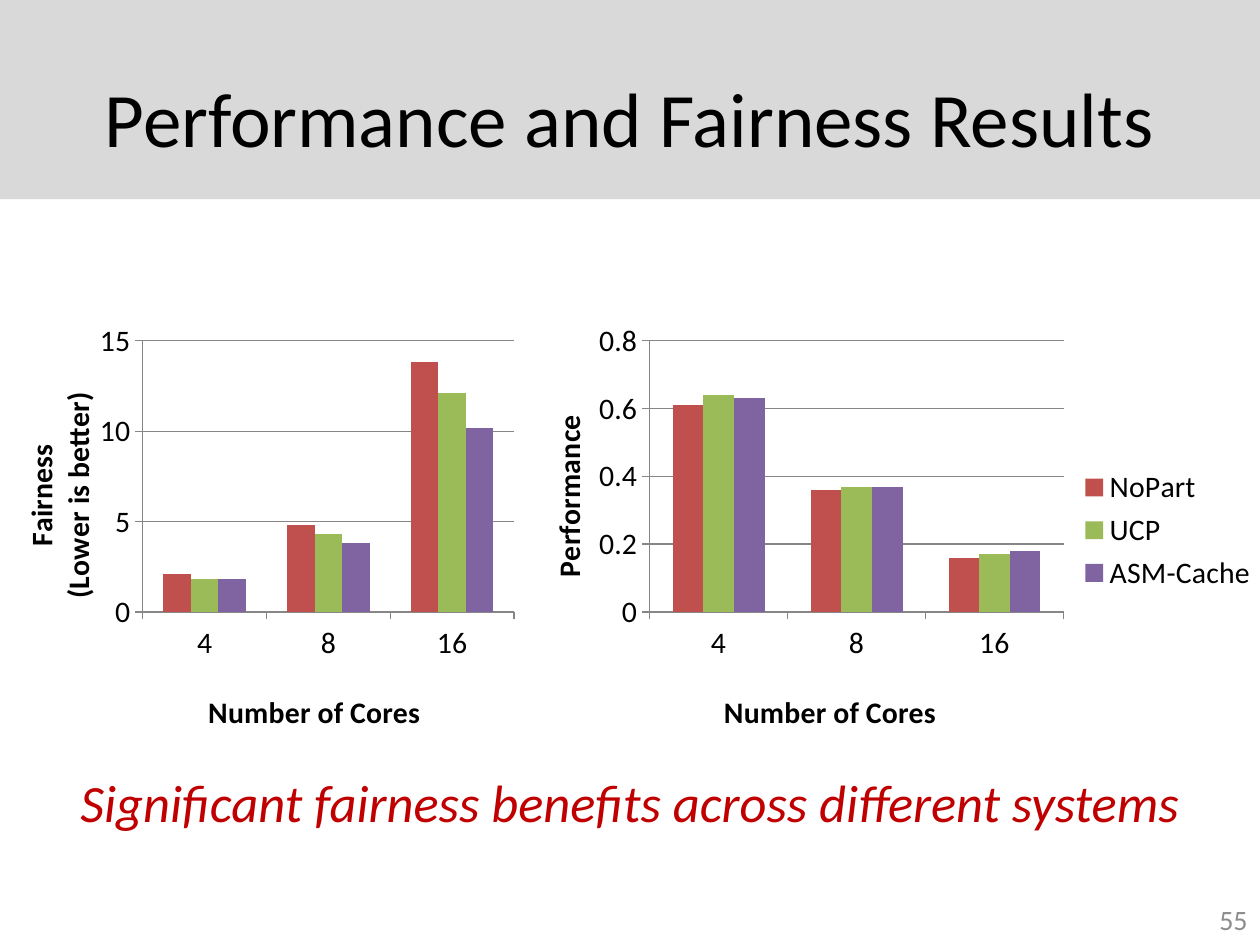
from lxml.etree import SubElement
from pptx import Presentation
from pptx.chart.data import CategoryChartData
from pptx.dml.color import RGBColor
from pptx.enum.chart import XL_CHART_TYPE as ChartType, XL_LEGEND_POSITION as LegendPos
from pptx.enum.chart import XL_TICK_MARK as Tick
from pptx.enum.shapes import MSO_SHAPE as Shape
from pptx.enum.text import MSO_ANCHOR as Anchor, PP_ALIGN as Align
from pptx.oxml.ns import qn
from pptx.util import Pt

FONT = "Calibri"
COLORS = {"band": "D9D9D9", "text": "000000", "number": "8C8C8C",
          "message": "C00000", "axis": "868686"}
SERIES_COLORS = ["C0504D", "9BBB59", "8064A2"]
CORES = ["4", "8", "16"]

# text, box (left, top, width, height), size, colour, alignment, anchor, italic
TEXTS = [
    ("Performance and Fairness Results", (36, 21.6, 648, 90),
     44, "text", Align.CENTER, Anchor.MIDDLE, False),
    ("55", (552, 511.2, 168, 28.8), 16, "number", Align.RIGHT, Anchor.MIDDLE, False),
    ("Significant fairness benefits across different systems", (24, 436.3, 672, 44),
     30, "message", Align.CENTER, Anchor.TOP, True),
]

# Layout values are fractions of the chart's width and height
CHARTS = [
    {"box": (-12, 180, 312, 246), "y_title": ["Fairness", "(Lower is better)"],
     "max": 15, "step": 5, "legend": False,
     "plot": (0.3, 0.06, 0.68, 0.63), "x_at": (0.41, 0.86), "y_at": (0.07, 0.17),
     "series": [("Series 1", [2.1, 4.8, 13.8]),
                ("Series 2", [1.8, 4.3, 12.1]),
                ("Series 3", [1.8, 3.8, 10.2])]},
    {"box": (288, 180, 438, 246), "y_title": ["Performance"],
     "max": 0.8, "step": 0.2, "legend": True,
     "plot": (0.19, 0.06, 0.54, 0.63), "x_at": (0.28, 0.86), "y_at": (0.05, 0.22),
     "series": [("NoPart", [0.61, 0.36, 0.16]),
                ("UCP", [0.64, 0.37, 0.17]),
                ("ASM-Cache", [0.63, 0.37, 0.18])]},
]


def rgb(name):
    return RGBColor.from_string(COLORS.get(name, name))


def style_font(font, size, color):
    font.name, font.size = FONT, Pt(size)
    font.color.rgb = rgb(color)


def add_text(slide, text, box, size, color, align, anchor, italic):
    tf = slide.shapes.add_textbox(*map(Pt, box)).text_frame
    tf.word_wrap, tf.vertical_anchor = True, anchor
    p = tf.paragraphs[0]
    p.alignment = align
    r = p.add_run()
    r.text = text
    style_font(r.font, size, color)
    r.font.italic = italic


def place(parent, index, fractions):
    """Give a plot area or an axis title a manual layout as child number index."""
    for old in parent.findall(qn("c:layout")):
        parent.remove(old)
    layout = SubElement(parent, qn("c:layout"))
    parent.insert(index, layout)
    manual = SubElement(layout, qn("c:manualLayout"))
    values = [("xMode", "edge"), ("yMode", "edge"), *zip("xywh", fractions)]
    if len(fractions) == 4:
        values.insert(0, ("layoutTarget", "inner"))
    for tag, value in values:
        SubElement(manual, qn(f"c:{tag}")).set("val", str(value))


def title_axis(axis, lines, position):
    tf = axis.axis_title.text_frame
    for i, line in enumerate(lines):
        p = tf.add_paragraph() if i else tf.paragraphs[0]
        r = p.add_run()
        r.text = line
        style_font(r.font, 17, "text")
        r.font.bold = True
    place(axis.axis_title._element, 1, position)


def add_bar_chart(slide, c):
    data = CategoryChartData()
    data.categories = CORES
    for name, values in c["series"]:
        data.add_series(name, values)
    chart = slide.shapes.add_chart(
        ChartType.COLUMN_CLUSTERED, *map(Pt, c["box"]), data).chart
    style_font(chart.font, 17, "text")
    chart.has_title = False
    chart.has_legend = c["legend"]
    if c["legend"]:
        chart.legend.position = LegendPos.RIGHT
        chart.legend.include_in_layout = False

    plot = chart.plots[0]
    plot.gap_width, plot.overlap, plot.vary_by_categories = 150, 0, False
    for s, color in zip(plot.series, SERIES_COLORS):
        s.format.fill.solid()
        s.format.fill.fore_color.rgb = rgb(color)

    x, y = chart.category_axis, chart.value_axis
    y.minimum_scale, y.maximum_scale, y.major_unit = 0, c["max"], c["step"]
    y.has_major_gridlines = True
    for part in (x, y, y.major_gridlines):
        part.format.line.color.rgb = rgb("axis")
        part.format.line.width = Pt(0.75)
    for axis in (x, y):
        axis.major_tick_mark, axis.minor_tick_mark = Tick.OUTSIDE, Tick.NONE
    title_axis(x, ["Number of Cores"], c["x_at"])
    title_axis(y, c["y_title"], c["y_at"])
    place(chart._chartSpace.chart.plotArea, 0, c["plot"])


def main():
    prs = Presentation()
    prs.slide_width, prs.slide_height = Pt(720), Pt(540)
    slide = prs.slides.add_slide(prs.slide_layouts[6])
    band = slide.shapes.add_shape(Shape.RECTANGLE, 0, 0, Pt(720), Pt(113.75))
    band.shadow.inherit = False
    band.fill.solid()
    band.fill.fore_color.rgb = rgb("band")
    band.line.fill.background()
    for text in TEXTS:
        add_text(slide, *text)
    for chart in CHARTS:
        add_bar_chart(slide, chart)
    prs.save("out.pptx")


if __name__ == "__main__":
    main()
